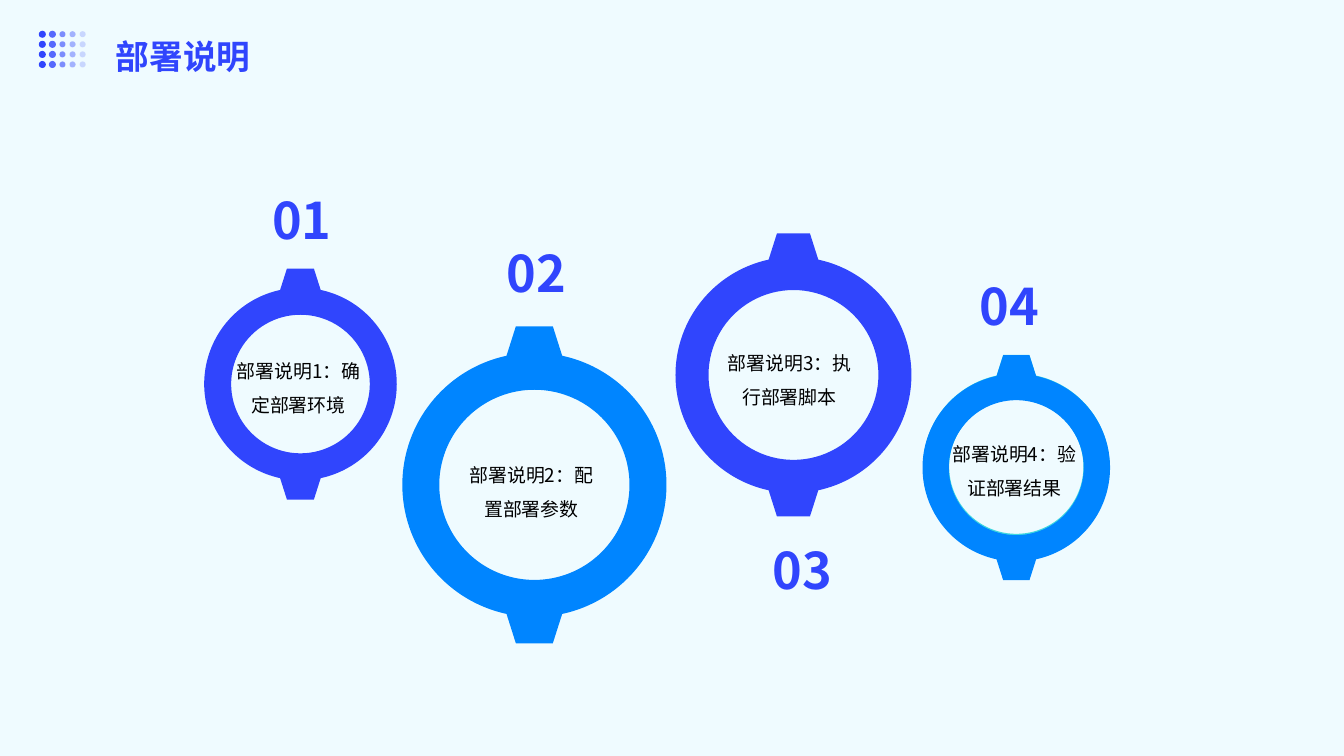
"""Build the deployment notes slide: four numbered gear rings with labels."""
from lxml import etree
from pptx import Presentation
from pptx.dml.color import RGBColor
from pptx.enum.shapes import MSO_SHAPE
from pptx.enum.text import MSO_ANCHOR, PP_ALIGN
from pptx.oxml.ns import qn
from pptx.util import Inches, Pt

DONUT, OVAL, ROUNDED = MSO_SHAPE.DONUT, MSO_SHAPE.OVAL, MSO_SHAPE.ROUNDED_RECTANGLE
TOP, MIDDLE = MSO_ANCHOR.TOP, MSO_ANCHOR.MIDDLE
LEFT, CENTER = PP_ALIGN.LEFT, PP_ALIGN.CENTER
FONT = "Noto Sans CJK SC"
INDIGO, AZURE, TEAL = "3045FD", "0085FF", "3CD6DF"
BLACK, PALE = "000000", "EFFBFF"
GRID = Inches(1)
COLUMNS, ROWS = 13.33, 7.5


def paint(fill, hex_color, opacity=100):
    fill.solid()
    fill.fore_color.rgb = RGBColor.from_string(hex_color)
    if opacity < 100:
        color_node = fill.fore_color._xFill[0]
        etree.SubElement(color_node, qn("a:alpha"), val=str(opacity * 1000))


def write(shape, text, size, color=INDIGO, bold=False, align=CENTER, anchor=MIDDLE,
          spacing=1.0, before=0, insets=(0.09, 0.05, 0.09, 0.05)):
    frame = shape.text_frame
    frame.word_wrap = True
    frame.vertical_anchor = anchor
    (frame.margin_left, frame.margin_top,
     frame.margin_right, frame.margin_bottom) = [Inches(inset) for inset in insets]
    paragraph = frame.paragraphs[0]
    paragraph.alignment = align
    paragraph.line_spacing = spacing
    paragraph.space_before = Pt(before)
    run = paragraph.add_run()
    run.text = text
    run.font.size = Pt(size)
    run.font.bold = bold
    run.font.name = FONT
    paint(run.font.fill, color)
    etree.SubElement(run.font._element, qn("a:ea"), typeface=FONT)


deck = Presentation()
deck.slide_width, deck.slide_height = int(COLUMNS * GRID), int(ROWS * GRID)
slide = deck.slides.add_slide(deck.slide_layouts[6])
paint(slide.background.fill, PALE)
shapes = slide.shapes
painted = []

gears = [
    (2.98, 3.81, 1.91, INDIGO),
    (5.3, 4.81, 2.62, AZURE),
    (7.87, 3.72, 2.34, INDIGO),
    (10.08, 4.63, 1.85, TEAL),
    (10.08, 4.64, 1.86, AZURE),
]
for center_x, center_y, diameter, color in gears:
    corner = [int((center - diameter / 2) * GRID) for center in (center_x, center_y)]
    side = int(diameter * GRID)
    ring = shapes.add_shape(DONUT, *corner, side, side)
    ring.adjustments[0] = 0.14
    painted.append((ring, color, 100))
    root, tip = 0.14 * diameter, 0.07 * diameter
    for direction in (-1, 1):
        root_y = center_y + direction * 0.38 * diameter
        tip_y = center_y + direction * 0.6 * diameter
        tooth = [(int(x * GRID), int(y * GRID)) for x, y in (
            (center_x - root, root_y), (center_x - tip, tip_y),
            (center_x + tip, tip_y), (center_x + root, root_y))]
        outline = shapes.build_freeform(*tooth[0])
        outline.add_line_segments(tooth[1:])
        painted.append((outline.convert_to_shape(), color, 100))

steps = [
    ((2.06, 1.67, 1.87, 1.01), (2.24, 3.23), "确定部署环境"),
    ((4.3, 2.26, 2.04, 0.88), (4.55, 4.26), "配置部署参数"),
    ((6.88, 5.28, 2.15, 0.74), (7.11, 3.15), "执行部署脚本"),
    ((9.03, 2.7, 1.97, 0.65), (9.34, 4.06), "验证部署结果"),
]
for order, (number_area, label_corner, action) in enumerate(steps, 1):
    number = shapes.add_shape(ROUNDED, *[int(length * GRID) for length in number_area])
    number.adjustments[0] = 0.5
    number.fill.background()
    number.line.fill.background()
    number.shadow.inherit = False
    write(number, f"{order:02d}", 36, bold=True)
    label = shapes.add_textbox(*[int(length * GRID) for length in (*label_corner, 1.44, 1.12)])
    write(label, f"部署说明{order}：{action}", 13.5, color=BLACK, spacing=1.5, before=2.7)

title = shapes.add_textbox(*[int(length * GRID) for length in (1.05, 0.1, 8.55, 0.79)])
write(title, "部署说明", 24, bold=True, align=LEFT, anchor=TOP, spacing=1.4,
      insets=(0.1, 0.1, 0.05, 0.1))

for row in range(4):
    for column in range(5):
        dot_size = 0.07 if column < 2 else 0.06
        dot_x = 0.42 + 0.1 * column - dot_size / 2
        dot_y = 0.34 + 0.1 * row - dot_size / 2
        dot = shapes.add_shape(
            OVAL, *[int(length * GRID) for length in (dot_x, dot_y, dot_size, dot_size)])
        painted.append((dot, INDIGO, 100 - 20 * column))

for part, color, opacity in painted:
    paint(part.fill, color, opacity)
    part.line.fill.background()
    part.shadow.inherit = False

deck.save("out.pptx")
